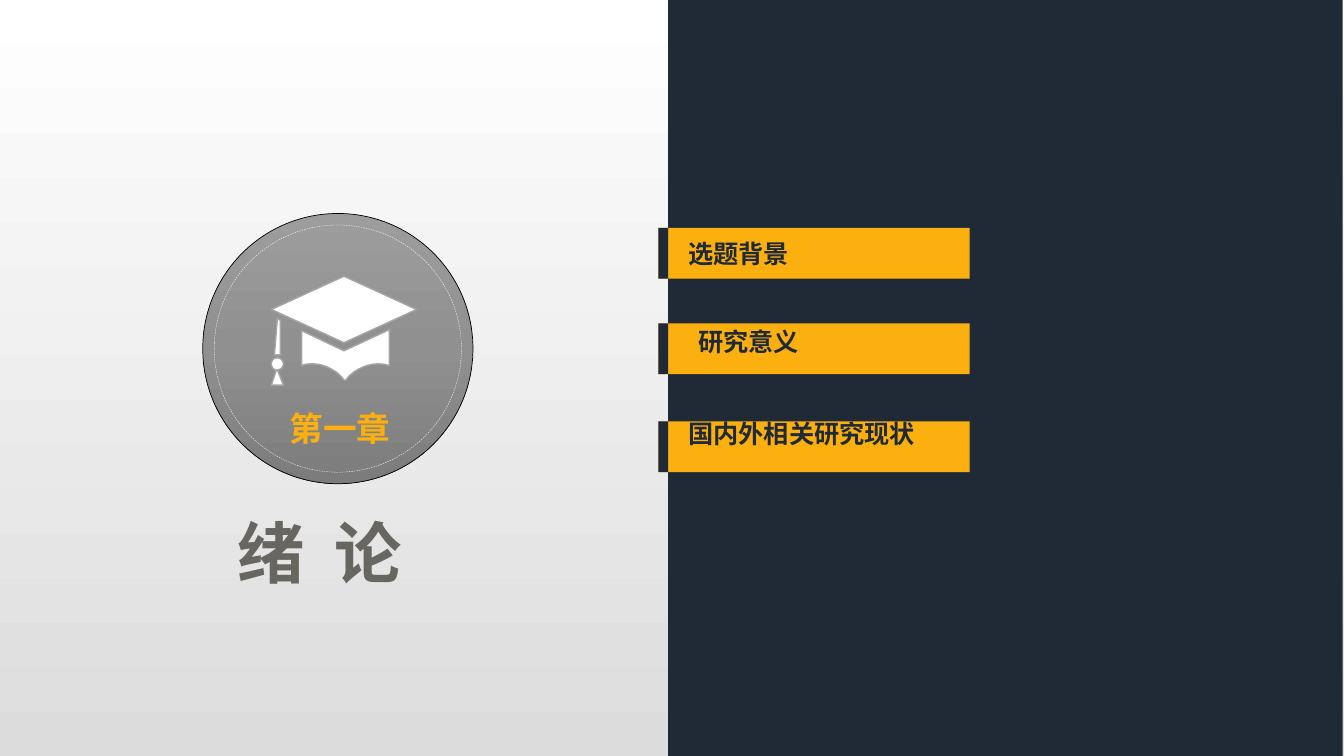
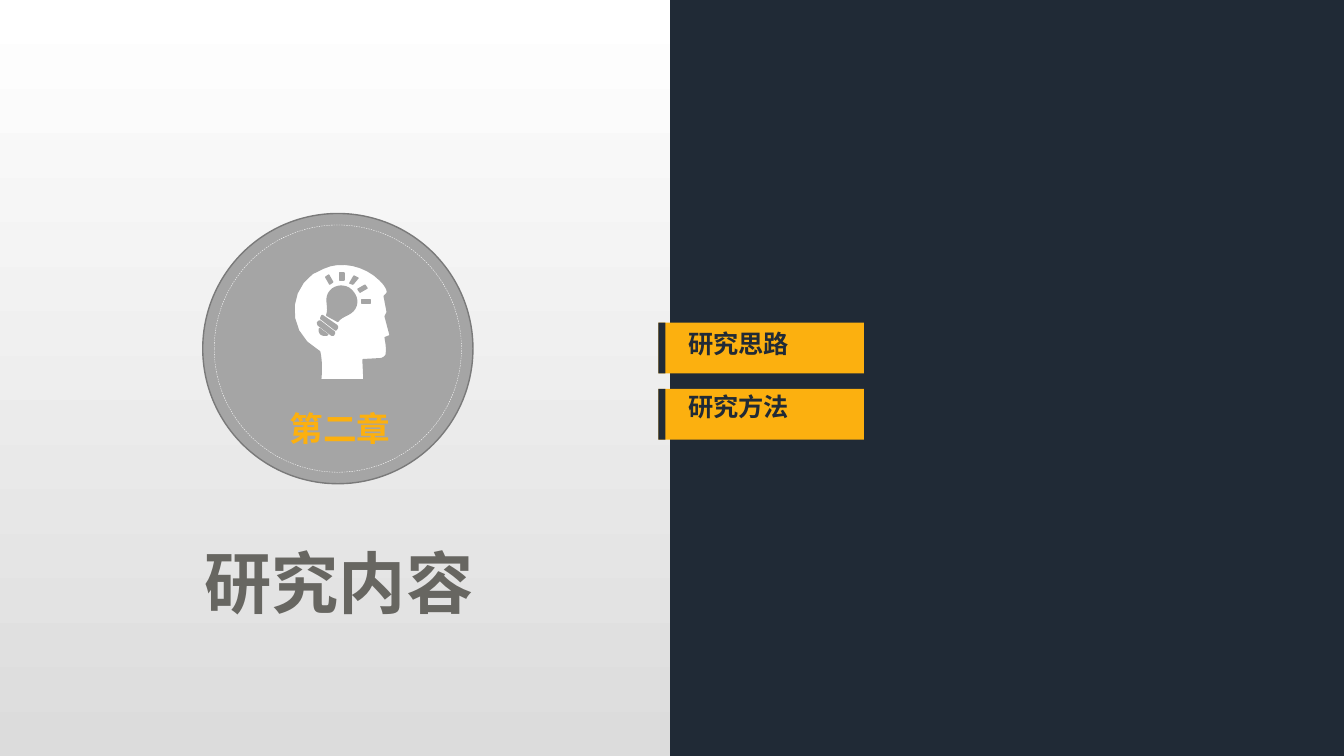
from dataclasses import dataclass

from lxml import etree
from pptx import Presentation
from pptx import util as u
from pptx.dml.color import RGBColor
from pptx.enum import dml, shapes, text
from pptx.oxml.ns import qn


@dataclass(frozen=True)
class Theme:
    font: str = "Noto Sans CJK SC"
    line_height: float = 1.45
    title_size: int = 48
    chapter_size: int = 24
    topic_size: int = 18
    navy: str = "202A36"
    amber: str = "FCB00F"
    gray: str = "A5A5A5"
    dark_gray: str = "7A7A7A"
    title_color: str = "676661"
    white: str = "FFFFFF"
    black: str = "000000"
    backdrop: tuple = ((0, "FFFFFF"), (100, "DCDCDC"))
    steel: tuple = ((0, "9D9D9D"), (50, "909090"), (100, "7C7C7C"))


THEME = Theme()

# Icon outlines in hundredths of an inch: pairs are corners, sixes are Bezier curves.
GRADUATION_CAP = [
    [(30, 89), (33, 87, 37, 87, 42, 87), (54, 87, 68, 96, 72, 103), (74, 103),
     (78, 96, 92, 87, 105, 87), (108, 87, 113, 87, 117, 89), (117, 53), (72, 74), (30, 54)],
    [(72, 0), (0, 33), (72, 66), (144, 33)],
    [(6, 42), (3, 78), (9, 78), (9, 44)],
    [(12, 108), (6, 93), (9, 93, 12, 90, 12, 87), (12, 84, 9, 81, 6, 81),
     (2, 81, 0, 84, 0, 87), (0, 90, 2, 93, 5, 93), (0, 108)],
]
THINKING_HEAD = [
    [(41, 119), (42, 110, 42, 100, 40, 91), (0, 69, 11, 18, 44, 8), (61, 0, 85, 5, 100, 20),
     (111, 31, 106, 34, 106, 34), (104, 36), (105, 41, 107, 51, 107, 52),
     (106, 54, 105, 56, 105, 56), (110, 75), (105, 77), (106, 83, 107, 88, 106, 94),
     (106, 95, 103, 98, 100, 98), (83, 99), (84, 119)],
    [(54, 71), (41, 61), (40, 60, 39, 61, 38, 62), (38, 63, 38, 64, 39, 65), (51, 74),
     (52, 75, 54, 75, 54, 74), (55, 73, 55, 71, 54, 71)],
    [(82, 43), (90, 43), (90, 39), (82, 39)],
    [(53, 22), (49, 15), (46, 17), (50, 24)],
    [(64, 20), (64, 13), (60, 13), (60, 20)],
    [(80, 32), (87, 28), (85, 25), (78, 29)],
    [(73, 24), (78, 18), (74, 16), (70, 23)],
    [(57, 65), (44, 56), (43, 55, 42, 55, 42, 56), (41, 57, 41, 59, 42, 59), (55, 69),
     (56, 70, 57, 69, 57, 68), (58, 68, 58, 66, 57, 65)],
    [(69, 28), (62, 24, 53, 26, 49, 33), (45, 40, 50, 47, 47, 55), (58, 61),
     (62, 55, 71, 55, 75, 48), (79, 41, 76, 33, 69, 28)],
    [(40, 68), (39, 70, 40, 73, 42, 74), (44, 75, 47, 75, 48, 74)],
]


def color(value):
    return RGBColor.from_string(value)


def place(shape, left, top, width, height):
    shape.left, shape.top = u.Cm(left), u.Cm(top)
    shape.width, shape.height = u.Cm(width), u.Cm(height)


def apply_gradient(fill, element, stops):
    """Give the fill held by element a top-to-bottom gradient with any number of stops."""
    fill.gradient()
    fill.gradient_angle = 270
    stop_list = element.find(".//" + qn("a:gsLst"))
    for stop in list(stop_list):
        stop_list.remove(stop)
    for position, value in stops:
        stop = etree.SubElement(stop_list, qn("a:gs"), pos=str(position * 1000))
        etree.SubElement(stop, qn("a:srgbClr"), val=value)


def style(shape, fill=None, line=None, line_width=1):
    """Fill may be one colour, a tuple of gradient stops or None."""
    shape.shadow.inherit = False
    if fill is None:
        shape.fill.background()
    elif isinstance(fill, tuple):
        apply_gradient(shape.fill, shape.element, fill)
    else:
        shape.fill.solid()
        shape.fill.fore_color.rgb = color(fill)
    if line is None:
        shape.line.fill.background()
    else:
        shape.line.color.rgb = color(line)
        shape.line.width = u.Pt(line_width)
    return shape


def add_preset(slide, kind, box, **look):
    shape = slide.shapes.add_shape(kind, *(u.Cm(length) for length in box))
    return style(shape, **look)


def add_run(paragraph, words, size, value, spacing=0):
    run = paragraph.add_run()
    run.text = words
    font = run.font
    font.name, font.size, font.bold = THEME.font, u.Pt(size), True
    font.color.rgb = color(value)
    properties = run._r.get_or_add_rPr()
    etree.SubElement(properties, qn("a:ea"), typeface=THEME.font)
    if spacing:
        properties.set("spc", str(spacing * 100))


def prepare_frame(shape, wrap=True, anchor=text.MSO_ANCHOR.TOP):
    frame = shape.text_frame
    frame.auto_size = text.MSO_AUTO_SIZE.NONE
    frame.word_wrap = wrap
    frame.vertical_anchor = anchor
    return frame


def flatten(contour, steps=8):
    """Turn corners and Bezier curves into a list of points."""
    points = [contour[0]]
    for segment in contour[1:]:
        if len(segment) == 2:
            points.append(segment)
            continue
        controls = [points[-1], segment[:2], segment[2:4], segment[4:]]
        for step in range(1, steps + 1):
            t = step / steps
            weights = ((1 - t) ** 3, 3 * t * (1 - t) ** 2, 3 * t * t * (1 - t), t ** 3)
            points.append(tuple(
                sum(weight * control[axis] for weight, control in zip(weights, controls))
                for axis in (0, 1)))
    return points


def add_icon(slide, contours, left, top):
    unit = u.Cm(0.0254)
    builder = None
    for contour in contours:
        points = [(x * unit, y * unit) for x, y in flatten(contour)]
        if builder is None:
            builder = slide.shapes.build_freeform(*points[0])
        else:
            builder.move_to(*points[0])
        builder.add_line_segments(points[1:], close=True)
    icon = builder.convert_to_shape(u.Cm(left), u.Cm(top))
    style(icon, THEME.white, THEME.gray)


def add_emblem(slide, box, chapter, icon, icon_offset, **disc_look):
    left, top, size = box
    inset = 0.29
    oval = shapes.MSO_SHAPE.OVAL
    add_preset(slide, oval, (left, top, size, size), **disc_look)
    ring_size = size - 2 * inset
    ring = add_preset(slide, oval, (left + inset, top + inset, ring_size, ring_size),
                      line=THEME.white, line_width=0.25)
    ring.line.dash_style = dml.MSO_LINE.DASH
    add_icon(slide, icon, left + icon_offset[0], top + icon_offset[1])

    label = slide.shapes.add_textbox(
        u.Cm(left + 0.15), u.Cm(top + 4.75), u.Cm(size - 0.2), u.Cm(1.32))
    paragraph = prepare_frame(label, anchor=text.MSO_ANCHOR.MIDDLE).paragraphs[0]
    paragraph.alignment = text.PP_ALIGN.CENTER
    add_run(paragraph, chapter, THEME.chapter_size, THEME.amber)


def fill_title(slide, box, runs):
    title = slide.shapes.title
    place(title, *box)
    paragraph = prepare_frame(title, wrap=False).paragraphs[0]
    paragraph.alignment = text.PP_ALIGN.LEFT
    for words, spacing in runs:
        add_run(paragraph, words, THEME.title_size, THEME.title_color, spacing)


def add_topics(slide, left, width, tab_width, topics):
    """Draw a bar per topic (words, bar top, text top, indent) and list the words over them."""
    bar_height = 1.28
    rectangle = shapes.MSO_SHAPE.RECTANGLE
    for _, bar_top, _, _ in topics:
        for part_width, fill in ((width, THEME.amber), (tab_width, THEME.navy)):
            add_preset(slide, rectangle, (left, bar_top, part_width, bar_height), fill=fill)

    body = slide.placeholders[1]
    slide.shapes.element.append(body.element)
    first_top, last_top = topics[0][2], topics[-1][2]
    place(body, left + 0.5, first_top, width - 0.5, last_top - first_top + bar_height)
    frame = prepare_frame(body)
    line_height = THEME.topic_size * THEME.line_height
    previous_top = None
    for words, _, text_top, indent in topics:
        first = previous_top is None
        paragraph = frame.paragraphs[0] if first else frame.add_paragraph()
        properties = paragraph._p.get_or_add_pPr()
        properties.set("marL", str(u.Cm(indent)))
        properties.set("indent", "0")
        etree.SubElement(properties, qn("a:buNone"))
        gap = 0 if first else u.Cm(text_top - previous_top).pt - line_height
        paragraph.space_before = u.Pt(gap)
        add_run(paragraph, words, THEME.topic_size, THEME.navy)
        previous_top = text_top


def add_chapter_slide(presentation, panel_left, title, emblem, topics):
    slide = presentation.slides.add_slide(presentation.slide_layouts[1])
    add_preset(slide, shapes.MSO_SHAPE.RECTANGLE, (panel_left, 0, 17, 19.05), fill=THEME.navy)
    fill_title(slide, **title)
    add_emblem(slide, (5.11, 5.38, 6.81), **emblem)
    add_topics(slide, 16.59, **topics)


def main():
    presentation = Presentation()
    presentation.slide_width, presentation.slide_height = u.Cm(33.87), u.Cm(19.05)
    master = presentation.slide_master
    apply_gradient(master.background.fill, master.element, THEME.backdrop)

    add_chapter_slide(
        presentation, 16.84,
        title=dict(box=(5.72, 12.75, 5.46, 2.57), runs=[("绪", 0), (" ", 11), ("论", 0)]),
        emblem=dict(chapter="第一章", icon=GRADUATION_CAP, icon_offset=(1.73, 1.58),
                    fill=THEME.steel, line=THEME.black, line_width=0.5),
        topics=dict(width=7.85, tab_width=0.25, topics=[
            ("选题背景", 5.74, 5.89, 0),
            ("研究意义", 8.15, 8.26, 0.25),
            ("国内外相关研究现状", 10.62, 10.72, 0),
        ]))
    add_chapter_slide(
        presentation, 16.89,
        title=dict(box=(4.9, 13.51, 7.29, 2.31), runs=[("研究内容", 0)]),
        emblem=dict(chapter="第二章", icon=THINKING_HEAD, icon_offset=(1.93, 1.17),
                    fill=THEME.gray, line=THEME.dark_gray),
        topics=dict(width=5.18, tab_width=0.18, topics=[
            ("研究思路", 8.13, 8.15, 0),
            ("研究方法", 9.8, 9.88, 0),
        ]))
    presentation.save("out.pptx")


if __name__ == "__main__":
    main()
